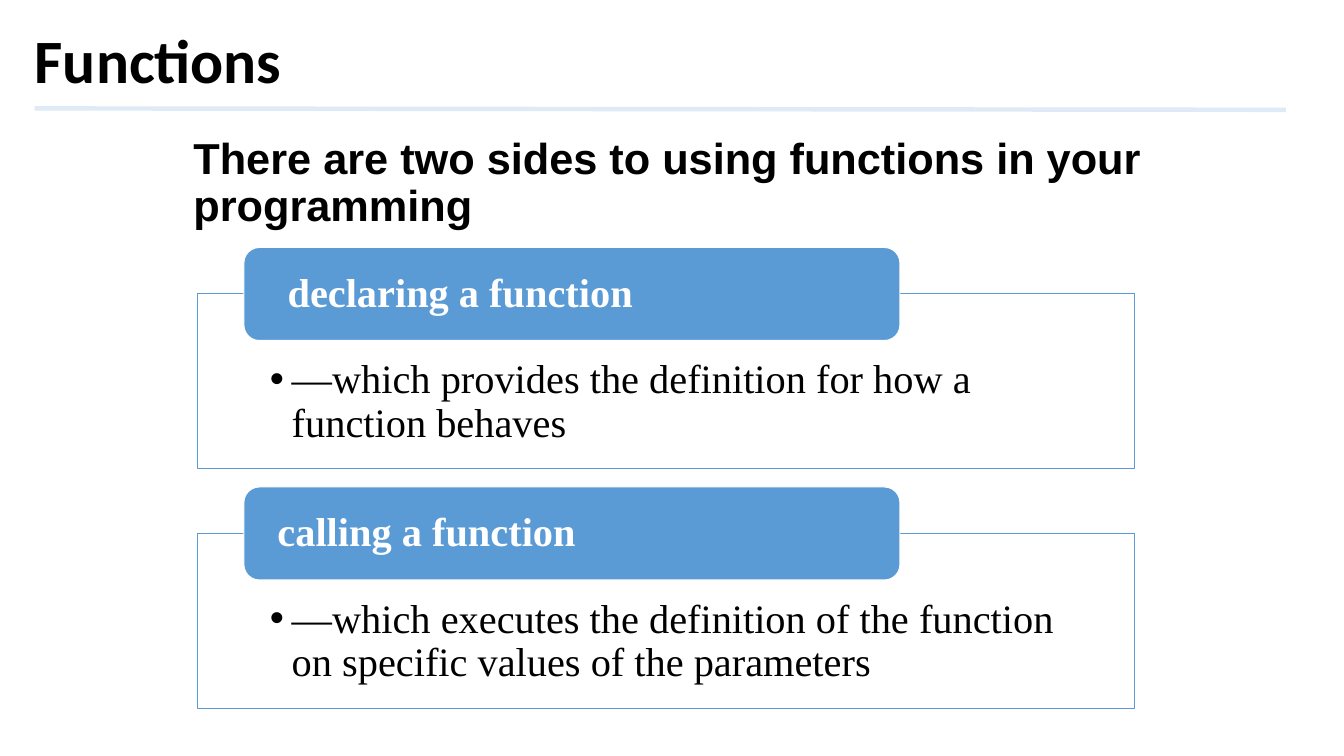
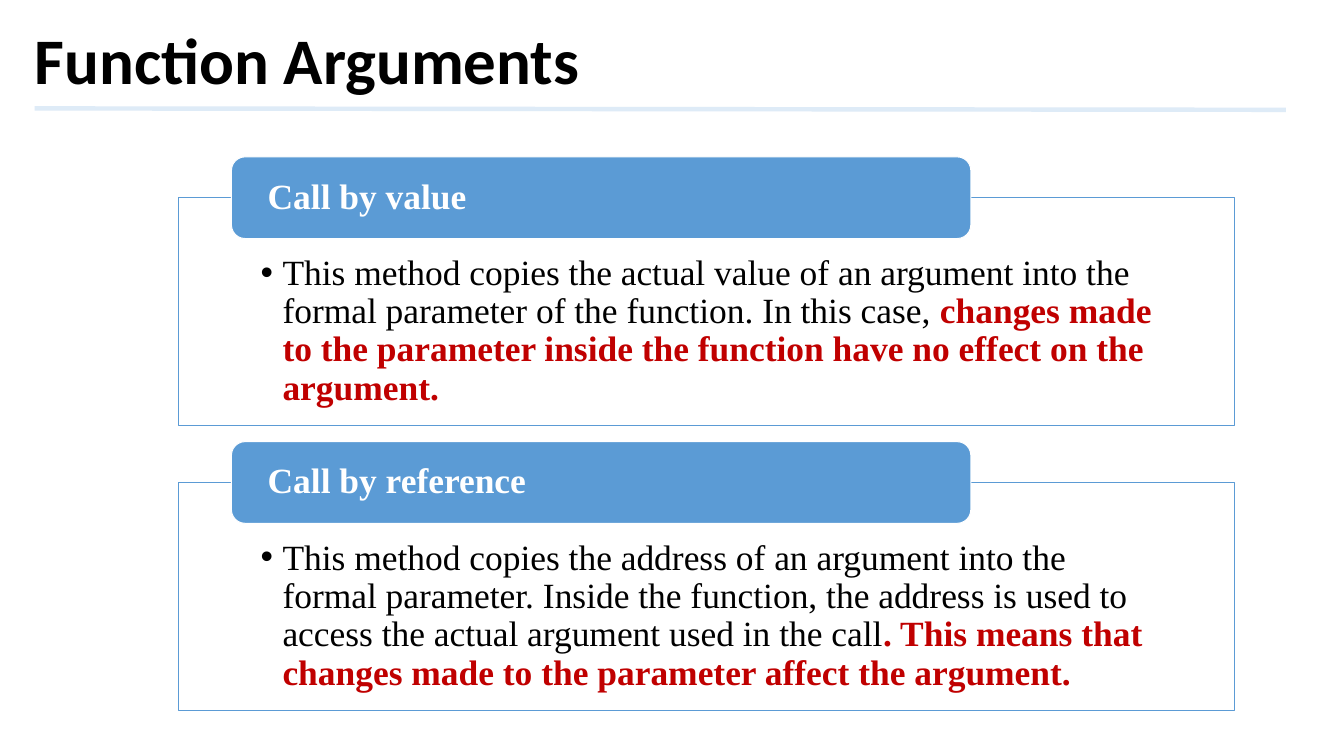
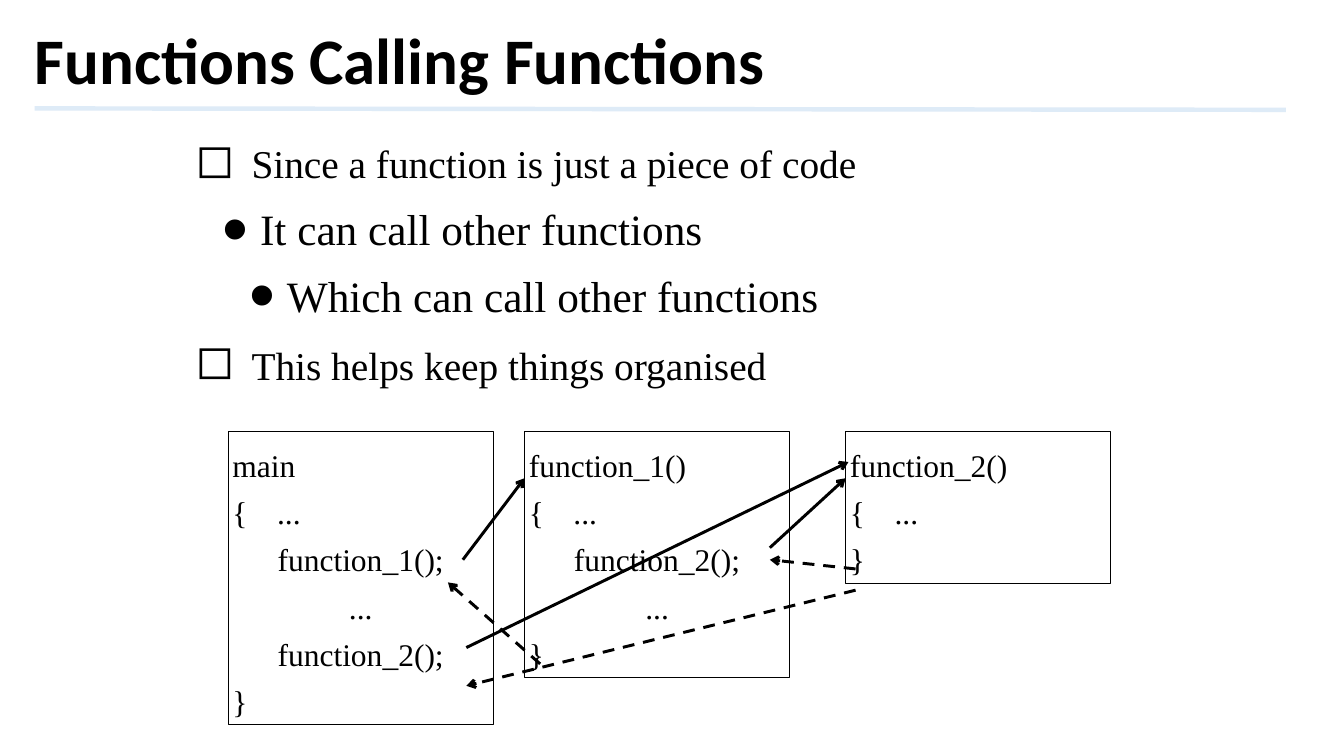
import pptx
import pptx.util
import pptx.dml.color
import pptx.enum.dml
import pptx.enum.shapes
import pptx.enum.text
import pptx.oxml.ns
from lxml import etree

RGBColor = pptx.dml.color.RGBColor
Pt = pptx.util.Pt
Inches = pptx.util.Inches
ALIGN = pptx.enum.text.PP_ALIGN
ANCHOR = pptx.enum.text.MSO_ANCHOR
SHAPE = pptx.enum.shapes.MSO_SHAPE
DASH = pptx.enum.dml.MSO_LINE

BLACK = RGBColor(0x00, 0x00, 0x00)
WHITE = RGBColor(0xFF, 0xFF, 0xFF)
BLUE = RGBColor(0x5B, 0x9B, 0xD5)
PALE_BLUE = RGBColor(0xDE, 0xEB, 0xF7)
RED = RGBColor(0xC0, 0x00, 0x00)

WIDTH, HEIGHT = 18.96, 10.67
SERIF = "Times New Roman"


def x_share(percent):
    return Inches(WIDTH * percent / 100)


def y_share(percent):
    return Inches(HEIGHT * percent / 100)


def box(x, y, w, h):
    return x_share(x), y_share(y), x_share(w), y_share(h)


def sub(parent, tag, **attrs):
    return etree.SubElement(parent, pptx.oxml.ns.qn(tag), **attrs)


class Deck:
    def __init__(self):
        self.prs = pptx.Presentation()
        self.prs.slide_width = Inches(WIDTH)
        self.prs.slide_height = Inches(HEIGHT)
        self.s = None

    def slide(self, title, size=66):
        self.s = self.prs.slides.add_slide(self.prs.slide_layouts[5])
        sp = self.s.shapes.title
        sp.left, sp.top, sp.width, sp.height = box(2.06, 0.56, 97.94, 15.65)
        tf = self.frame(sp, ANCHOR.MIDDLE)
        tf.text = title
        self.style(tf.paragraphs[0], size, font="Calibri", bold=True)
        self.line((2.58, 14.34), (95.68, 14.53), PALE_BLUE, 4.5)

    def frame(self, sp, anchor=ANCHOR.TOP, margins=None):
        tf = sp.text_frame
        tf.word_wrap = True
        tf.auto_size = pptx.enum.text.MSO_AUTO_SIZE.NONE
        tf.vertical_anchor = anchor
        if margins:
            tf.margin_left, tf.margin_top, tf.margin_right, tf.margin_bottom = margins
        return tf

    def style(self, p, size, color=BLACK, font=SERIF, bold=False,
              spacing=0.9, align=ALIGN.LEFT):
        p.alignment = align
        p.line_spacing = spacing
        for r in p.runs:
            r.font.name = font
            r.font.size = Pt(size)
            r.font.bold = bold
            r.font.color.rgb = color

    def bullet(self, p, char, left, hanging, percent=100):
        pPr = p._p.get_or_add_pPr()
        pPr.set("marL", str(Inches(left)))
        pPr.set("indent", str(-Inches(hanging)))
        sub(pPr, "a:buSzPct", val=str(percent * 1000))
        if char == "•":
            sub(pPr, "a:buFont", typeface="Arial")
        sub(pPr, "a:buChar", char=char)

    def line(self, start, end, color=BLACK, width=3, arrow=False, dashed=False):
        sp = self.s.shapes.add_connector(
            pptx.enum.shapes.MSO_CONNECTOR.STRAIGHT,
            x_share(start[0]), y_share(start[1]), x_share(end[0]), y_share(end[1]))
        sp.line.color.rgb = color
        sp.line.width = Pt(width)
        if dashed:
            sp.line.dash_style = DASH.DASH
        if arrow:
            sub(sp.line._get_or_add_ln(), "a:tailEnd", type="arrow")
        sub(sp._element.spPr, "a:effectLst")

    def shape(self, kind, x, y, w, h, line, fill=None):
        sp = self.s.shapes.add_shape(kind, *box(x, y, w, h))
        sp.shadow.inherit = False
        sp.line.color.rgb = line
        sp.line.width = Pt(1)
        if fill is None:
            sp.fill.background()
        else:
            sp.fill.solid()
            sp.fill.fore_color.rgb = fill
        return sp

    def panel(self, x, y, w, h, size, heading, body, accent=""):
        header_h = size * 0.3
        side = x_share(w * 0.0776)
        sp = self.shape(SHAPE.RECTANGLE, x, y, w, h, BLUE, WHITE)
        tf = self.frame(sp, margins=(side, y_share(header_h * 0.7), side, Pt(size * 0.56)))
        tf.text = body
        p = tf.paragraphs[0]
        p.level = 1
        self.bullet(p, "•", 0.31, 0.31)
        self.style(p, size)
        if accent:
            r = p.add_run()
            r.text = accent
            r.font.name = SERIF
            r.font.size = Pt(size)
            r.font.bold = True
            r.font.color.rgb = RED

        sp = self.shape(SHAPE.ROUNDED_RECTANGLE, x + w * 0.05, y - header_h / 2,
                        w * 0.7, header_h, WHITE, BLUE)
        pad = x_share(w * 0.0265) + Inches(0.06)
        tf = self.frame(sp, ANCHOR.MIDDLE, (pad, 0, pad, 0))
        tf.text = heading
        self.style(tf.paragraphs[0], size, WHITE, bold=True)

    def panels(self, x, y, w, h, pitch, size, items):
        for i, item in enumerate(items):
            self.panel(x, y + i * pitch, w, h, size, *item)

    def statement(self, x, y, w, h, text):
        tf = self.frame(self.s.shapes.add_textbox(*box(x, y, w, h)))
        tf.text = text
        self.style(tf.paragraphs[0], 44, font="Arial", bold=True, spacing=Pt(48))

    def outline(self, x, y, w, h, items):
        levels = [("◻", 1.07, 0.79, 120, 40, 0.9, 26),
                  ("•", 1.19, 0.53, 171, 44, Pt(50), 18),
                  ("•", 1.57, 0.53, 171, 44, Pt(50), 18)]
        tf = self.frame(self.s.shapes.add_textbox(*box(x, y, w, h)), ANCHOR.MIDDLE)
        tf.text = "\n".join(text for level, text in items)
        for i, (p, (level, text)) in enumerate(zip(tf.paragraphs, items)):
            char, left, hanging, percent, size, spacing, before = levels[level]
            p.level = level
            self.bullet(p, char, left, hanging, percent)
            self.style(p, size, spacing=spacing)
            if i:
                p.space_before = Pt(before)

    def code(self, x, y, w, lines):
        sp = self.shape(SHAPE.RECTANGLE, x, y, w, len(lines) * 6.25 + 1.3, BLACK)
        tf = self.frame(sp, ANCHOR.MIDDLE, [Inches(0.06)] * 4)
        tf.text = "\n".join(lines)
        for p in tf.paragraphs:
            centred = p.text.endswith(";") or p.text == "..."
            if "\t" in p.text:
                tabs = sub(p._p.get_or_add_pPr(), "a:tabLst")
                sub(tabs, "a:tab", pos=str(Inches(0.63)), algn="l")
            self.style(p, 32, spacing=Pt(48),
                       align=ALIGN.CENTER if centred else ALIGN.LEFT)


def main():
    deck = Deck()

    deck.slide("Functions", 62.6)
    deck.panels(14.66, 38.89, 69.73, 23.15, 31.68, 41, [
        (" declaring a function",
         "—which provides the definition for how a function behaves"),
        ("calling a function",
         "—which executes the definition of the function on specific values of the parameters"),
    ])
    deck.statement(13.87, 17.53, 73.63, 13.59,
                   "There are two sides to using functions in your programming")

    deck.slide("Function Arguments")
    deck.panels(13.29, 26.15, 78.59, 30.18, 37.67, 36, [
        ("Call by value",
         "This method copies the actual value of an argument into the formal parameter "
         "of the function. In this case, ",
         "changes made to the parameter inside the function have no effect on the argument."),
        ("Call by reference",
         "This method copies the address of an argument into the formal parameter. Inside "
         "the function, the address is used to access the actual argument used in the call",
         ". This means that changes made to the parameter affect the argument."),
    ])

    deck.slide("Functions Calling Functions")
    deck.outline(12.55, 13.5, 76.11, 43.67, [
        (0, "Since a function is just a piece of code"),
        (1, "It can call other functions"),
        (2, "Which can call other functions"),
        (0, "This helps keep things organised"),
    ])
    for x, lines in [
        (16.98, ["main", "{\t...", "function_1();", "...", "function_2();", "}"]),
        (39.03, ["function_1()", "{\t...", "function_2();", "...", "}"]),
        (62.92, ["function_2()", "{\t...", "}"]),
    ]:
        deck.code(x, 57.08, 19.73, lines)
    for start, end, returns in [
        ((34.44, 74.04), (39.03, 63.26), False),
        ((57.28, 72.45), (62.92, 63.26), False),
        ((34.7, 85.66), (63.13, 61.11), False),
        ((40.19, 87.82), (33.33, 77.04), True),
        ((63.66, 75.26), (57.28, 74.04), True),
        ((63.66, 78.07), (34.7, 90.72), True),
    ]:
        deck.line(start, end, arrow=True, dashed=returns)

    deck.prs.save("out.pptx")


if __name__ == "__main__":
    main()
